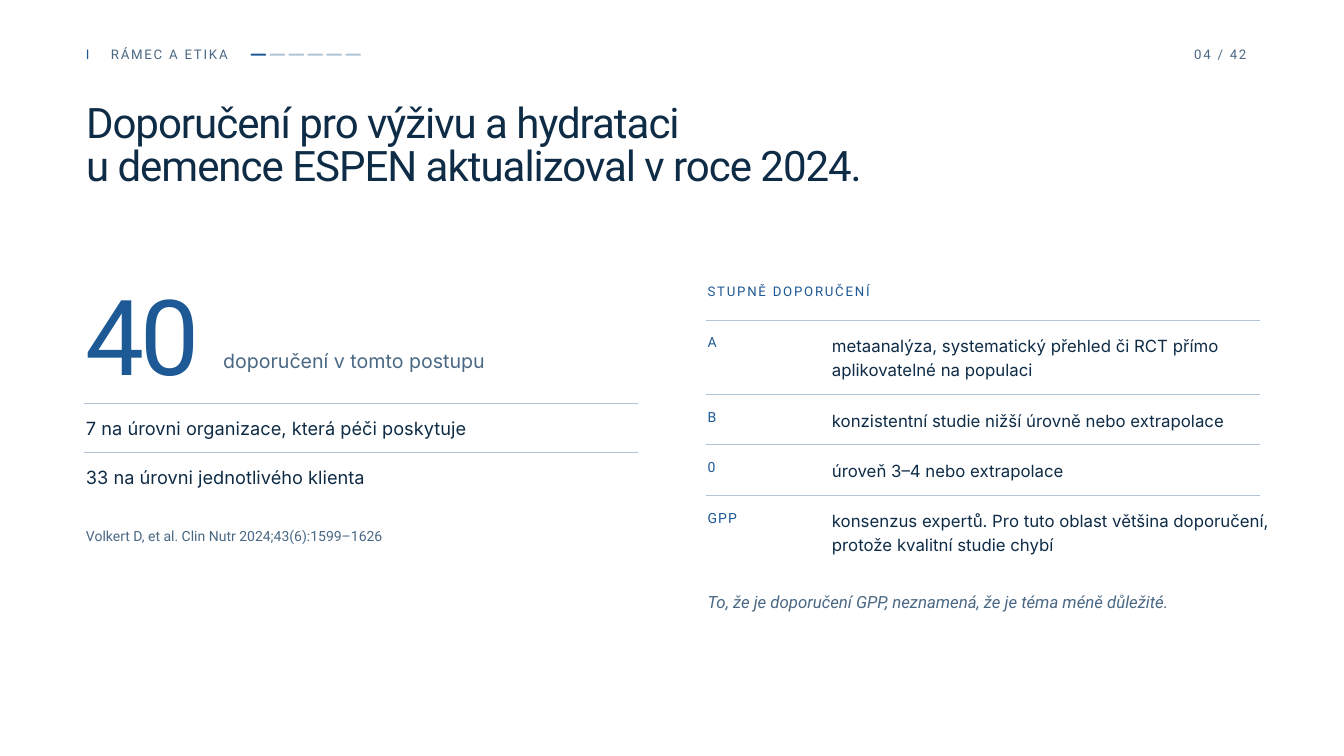
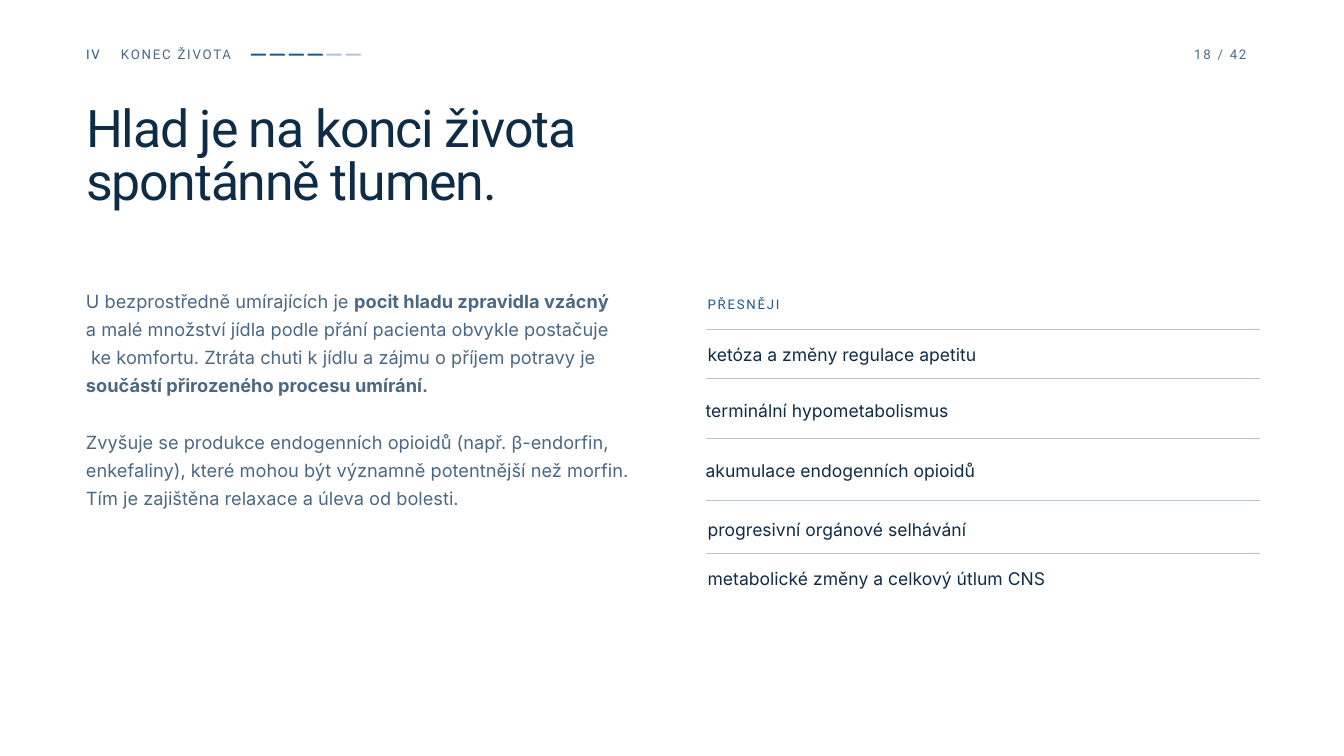
from lxml import etree
from pptx import Presentation
from pptx.dml.color import RGBColor
from pptx.enum.shapes import MSO_CONNECTOR, MSO_SHAPE
from pptx.enum.text import MSO_ANCHOR, MSO_AUTO_SIZE, PP_ALIGN
from pptx.oxml.ns import qn
from pptx.util import Inches, Pt

COLORS = {"navy": "0F2C47", "blue": "1D5994", "slate": "4A6884", "line": "AFC4D6"}

# font, size, colour, line spacing, letter spacing (all in points)
STYLES = {
    "label": ("Roboto", 14.2, "blue", 21.5, 1.9),
    "header": ("Roboto", 14.2, "slate", 21.5, 1.9),
    "title": ("Roboto", 45, "navy", 46.1, -1.1),
    "big title": ("Roboto", 55.5, "navy", 56.7, -1.3),
    "number": ("Roboto", 112.5, "blue", 95.5, -4.5),
    "caption": ("Inter", 21, "slate", 29.1, 0),
    "fact": ("Inter", 19.5, "navy", 29, 0),
    "source": ("Roboto", 15, "slate", 22.1, 0),
    "grade": ("Roboto", 15, "blue", 20.1, 1.2),
    "meaning": ("Inter", 18, "navy", 25.5, 0),
    "note": ("Roboto", 18, "slate", 26.4, 0),
    "body": ("Inter", 19.5, "slate", 30.1, 0),
    "cause": ("Inter", 18.8, "navy", 28.1, 0),
}
LEFT, RIGHT = 1.28, 10.53
RULE_LEFT, RULE_RIGHT, RULE_WIDTH = 1.25, 10.5, 8.25
COLUMN_WIDTH = 8.44


def write(s, box, text, style, sp=None):
    """Fill sp, or a new text box; lines become paragraphs, *stars* mark bold."""
    sp = sp or s.shapes.add_textbox(0, 0, 0, 0)
    sp.left, sp.top, sp.width, sp.height = [Inches(v) for v in box]
    font, size, color, leading, tracking = STYLES[style]
    tf = sp.text_frame
    tf.margin_left = tf.margin_right = tf.margin_top = tf.margin_bottom = 0
    tf.word_wrap = True
    tf.auto_size = MSO_AUTO_SIZE.SHAPE_TO_FIT_TEXT
    tf.vertical_anchor = MSO_ANCHOR.TOP
    tf.text = text.replace("*", "") if "*" not in text else text
    for p in tf.paragraphs:
        p.alignment = PP_ALIGN.LEFT
        p.line_spacing = Pt(leading)
        parts = p.text.split("*")
        p.text = parts[0]
        for part in parts[1:]:
            if part:
                p.add_run().text = part
        for r in p.runs:
            r.font.name = font
            r.font.size = Pt(size)
            r.font.color.rgb = RGBColor.from_string(COLORS[color])
            r.font.bold = r.text in parts[1::2]
            if tracking:
                r._r.get_or_add_rPr().set("spc", str(round(tracking * 100)))
    return tf


def draw_rule(s, x, y):
    line = s.shapes.add_connector(MSO_CONNECTOR.STRAIGHT, Inches(x), Inches(y),
                                  Inches(x + RULE_WIDTH), Inches(y))
    line.line.color.rgb = RGBColor.from_string(COLORS["line"])
    line.line.width = Pt(0.75)
    etree.SubElement(line._element.spPr, qn("a:effectLst"))


prs = Presentation()
prs.slide_width, prs.slide_height = Inches(20), Inches(11.25)

# Shared header and title
# numeral, numeral width, section, section left, chapter, page, title, style, top, height
HEADERS = [
    ("I", 0.17, "RÁMEC A ETIKA", 1.65, 1, "04 / 42",
     "Doporučení pro výživu a hydrataci\nu demence ESPEN aktualizoval v roce 2024.",
     "title", 1.54, 1.33),
    ("IV", 0.32, "KONEC ŽIVOTA", 1.8, 4, "18 / 42",
     "Hlad je na konci života\nspontánně tlumen.", "big title", 1.56, 1.63),
]
for numeral, width, section, section_left, chapter, page, title, style, top, height in HEADERS:
    s = prs.slides.add_slide(prs.slide_layouts[5])
    write(s, (LEFT, top, 16.68, height), title, style, s.shapes.title)
    write(s, (LEFT, 0.62, width, 0.37), numeral, "label")
    write(s, (section_left, 0.62, 2.05, 0.37), section, "header")
    write(s, (17.77, 0.62, 1.04, 0.37), page, "header")
    for i in range(6):
        dash = s.shapes.add_shape(MSO_SHAPE.ROUNDED_RECTANGLE, Inches(3.73 + i * 1.41 / 5),
                                  Inches(0.8), Inches(0.23), Inches(0.03))
        dash.adjustments[0] = 0.5
        dash.shadow.inherit = False
        dash.fill.solid()
        dash.fill.fore_color.rgb = RGBColor.from_string(COLORS["blue" if i < chapter else "line"])
        dash.line.fill.background()

guideline, end_of_life = prs.slides

# Guideline: number of recommendations
write(guideline, (LEFT, 4.57, 1.87, 1.07), "40", "number")
write(guideline, (3.32, 5.14, 4.23, 0.44), "doporučení v tomto postupu", "caption")
facts = ["7 na úrovni organizace, která péči poskytuje", "33 na úrovni jednotlivého klienta"]
for i, fact in enumerate(facts):
    y = 6 + i * 0.73
    draw_rule(guideline, RULE_LEFT, y)
    write(guideline, (LEFT, y + 0.13, COLUMN_WIDTH, 0.45), fact, "fact")
write(guideline, (LEFT, 7.8, COLUMN_WIDTH, 0.38),
      "Volkert D, et al. Clin Nutr 2024;43(6):1599–1626", "source")

# Guideline: grades, each row as high as its number of lines
write(guideline, (RIGHT, 4.16, COLUMN_WIDTH, 0.37), "STUPNĚ DOPORUČENÍ", "label")
grades = [
    ("A", "metaanalýza, systematický přehled či RCT přímo aplikovatelné na populaci", 2),
    ("B", "konzistentní studie nižší úrovně nebo extrapolace", 1),
    ("0", "úroveň 3–4 nebo extrapolace", 1),
    ("GPP", "konsenzus expertů. Pro tuto oblast většina doporučení, "
            "protože kvalitní studie chybí", 2),
]
y = 4.76
for grade, meaning, lines in grades:
    height = 0.03 + 0.36 * lines
    draw_rule(guideline, RULE_RIGHT, y)
    write(guideline, (RIGHT, y + 0.18, 1.59, height), grade, "grade")
    write(guideline, (12.38, y + 0.18, 6.53, height), meaning, "meaning")
    y += height + 0.36
note = write(guideline, (RIGHT, 8.74, 9.02, 0.41),
             "To, že je doporučení GPP, neznamená, že je téma méně důležité.", "note")
note.paragraphs[0].runs[0].font.italic = True

# End of life: explanation
body = write(
    end_of_life, (LEFT, 4.23, COLUMN_WIDTH, 3.32),
    "U bezprostředně umírajících je *pocit hladu zpravidla vzácný*\n"
    "a malé množství jídla podle přání pacienta obvykle postačuje\n"
    " ke komfortu. Ztráta chuti k jídlu a zájmu o příjem potravy je "
    "*součástí přirozeného procesu umírání.*\n"
    "Zvyšuje se produkce endogenních opioidů (např. β-endorfin, enkefaliny), které mohou být "
    "významně potentnější než morfin. Tím je zajištěna relaxace a úleva od bolesti.", "body")
body.paragraphs[-1].space_before = Pt(30.1)

# End of life: causes
write(end_of_life, (RIGHT, 4.34, COLUMN_WIDTH, 0.37), "PŘESNĚJI", "label")
causes = [
    (4.9, RIGHT, 5.04, "ketóza a změny regulace apetitu"),
    (5.63, RULE_RIGHT, 5.87, "terminální hypometabolismus"),
    (6.53, RULE_RIGHT, 6.77, "akumulace endogenních opioidů"),
    (7.45, RIGHT, 7.64, "progresivní orgánové selhávání"),
    (8.23, RIGHT, 8.37, "metabolické změny a celkový útlum CNS"),
]
for rule_y, x, y, cause in causes:
    draw_rule(end_of_life, RULE_RIGHT, rule_y)
    write(end_of_life, (x, y, COLUMN_WIDTH, 0.37), cause, "cause")

prs.save("out.pptx")
